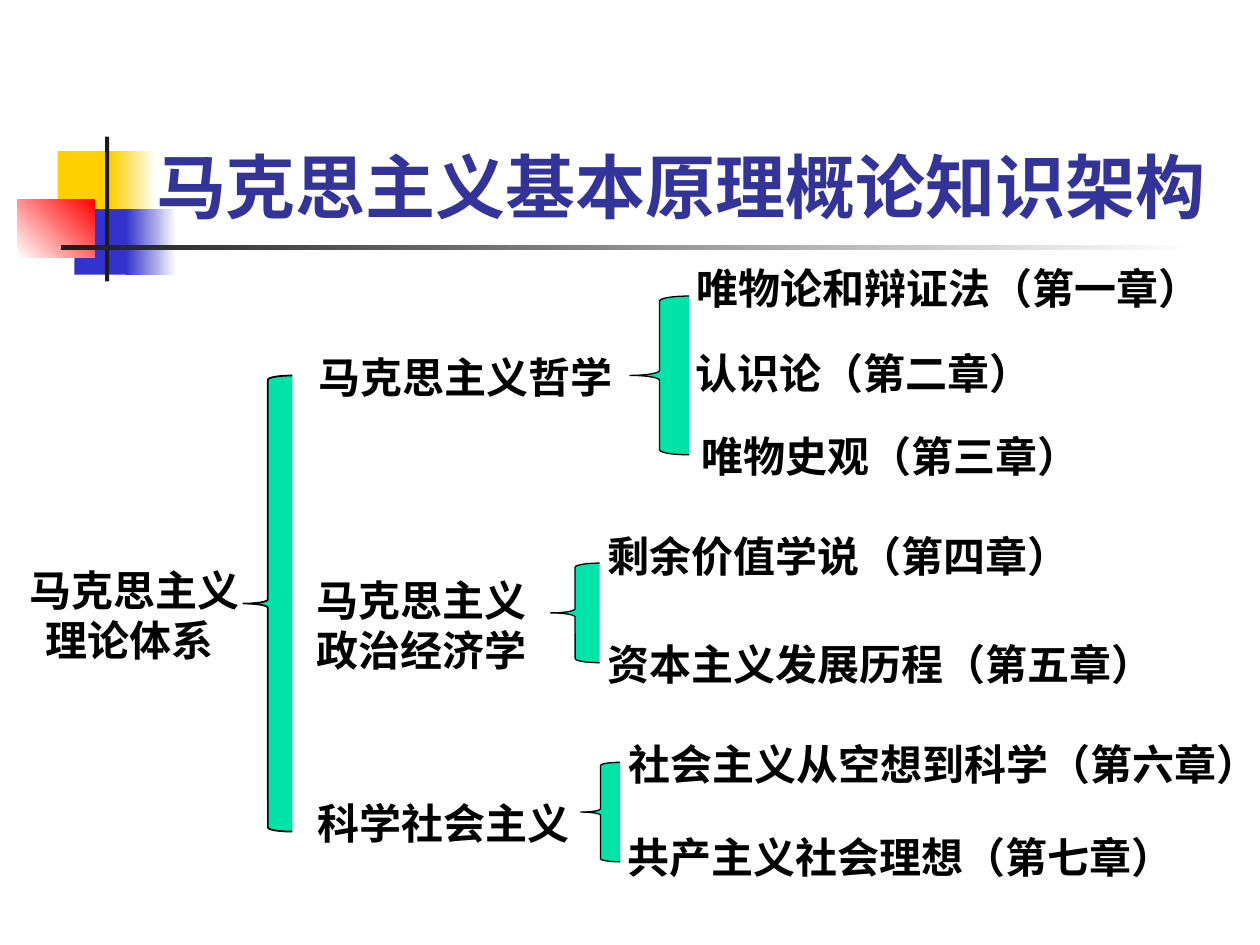
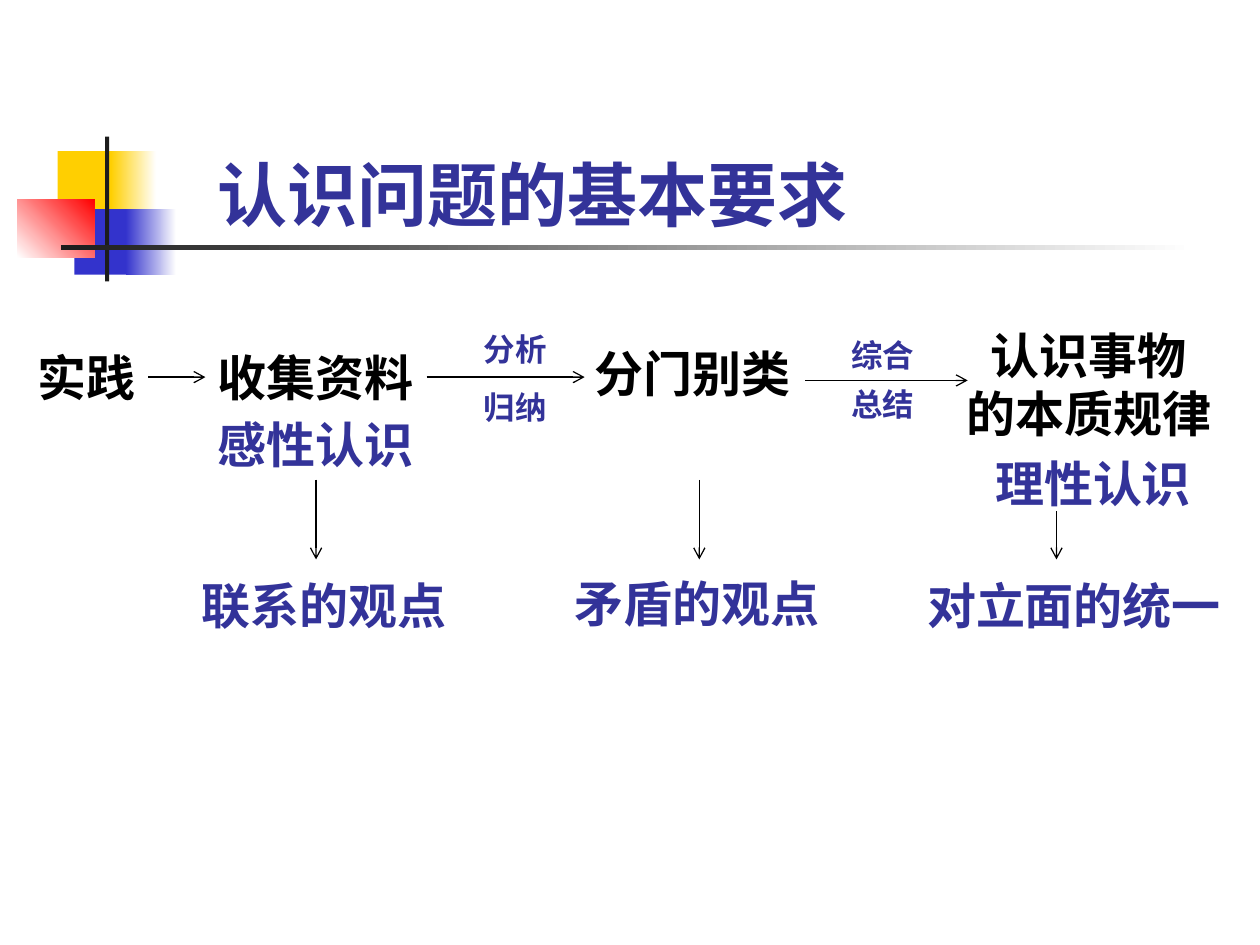
from dataclasses import dataclass
from lxml import etree
from pptx import Presentation
from pptx.dml.color import RGBColor
from pptx.enum.shapes import MSO_CONNECTOR, MSO_SHAPE
from pptx.enum.text import MSO_AUTO_SIZE, PP_ALIGN
from pptx.oxml.ns import qn
from pptx.util import Pt

RECT, BRACE = MSO_SHAPE.RECTANGLE, MSO_SHAPE.LEFT_BRACE
STRAIGHT = MSO_CONNECTOR.STRAIGHT
LEFT, CENTER = PP_ALIGN.LEFT, PP_ALIGN.CENTER
GROW = MSO_AUTO_SIZE.SHAPE_TO_FIT_TEXT
BOTTOM_SIDE, LEFT_SIDE, RIGHT_SIDE = 0 + 2, 1, 3


@dataclass(frozen=True)
class Theme:
    font: str = "Arial"
    accent: str = "333399"
    ink: str = "000000"
    bar: str = "1C1C1C"
    yellow: str = "FFCF01"
    blue: str = "3333CC"
    red: str = "FF0000"
    white: str = "FFFFFF"
    brace: str = "00E4A8"
    title: int = 40
    step: int = 28
    topic: int = 24
    note: int = 18
    line: float = 0.75
    line_height: float = 1.2
    inset_x: float = 7.2
    inset_y: float = 3.6


T = Theme()

EMBLEM = [
    ((33, 86.4, 34.6, 37.4), (T.yellow,), 0),
    ((63.4, 86.4, 25.9, 37.4), (T.yellow, T.white), 0),
    ((42.5, 119.5, 33.1, 37.4), (T.blue,), 0),
    ((72, 119.5, 28.8, 37.4), (T.blue, T.white), 0),
    ((10, 113.8, 44, 33.4), (T.white, T.red), 45),
    ((60, 78, 2.4, 82.8), (T.bar,), 0),
    ((34.6, 140.2, 648, 2.5), (T.bar, T.white), 0),
]

KNOWLEDGE_TITLE = ("马克思主义基本原理概论知识架构", 82.1, 78.5)
ROOT = ("马克思主义\n理论体系 ", 9.4, 319)
ROOT_BRACE = (139, 214.6, 28.1, 260.6)
BRANCHES = [
    (("马克思主义哲学", 175, 197.3), (360, 169.2, 33.8, 90.7), [
        ("唯物论和辩证法（第一章）", 391, 146.2),
        ("认识论（第二章）", 390.2, 195.1),
        ("唯物史观（第三章）", 393.8, 242.6)]),
    (("马克思主义\n政治经济学", 173.5, 324.7), (314.6, 321.8, 28.1, 56.9), [
        ("剩余价值学说（第四章）", 339.8, 299.5),
        ("资本主义发展历程（第五章）", 339.8, 361.4)]),
    (("科学社会主义", 174.2, 452.2), (331.9, 435.6, 22.5, 56.9), [
        ("社会主义从空想到科学（第六章）", 352, 418.3),
        ("共产主义社会理想（第七章）", 351.4, 471.6)]),
]

METHOD_TITLE = ("认识问题的基本要求", 117.4, 82.8)
STEPS = [
    ("实践", 14.4, 195.1),
    ("收集资料", 117.4, 195.1),
    ("分门别类", 332.6, 193),
    ("认识事物\n的本质规律", 545, 182.2),
]
VIEWS = [
    ("感性认识", 117.4, 233.3),
    ("理性认识", 561.6, 255.6),
    ("联系的观点", 108, 325.4),
    ("矛盾的观点", 321.1, 324),
    ("对立面的统一", 522.7, 325.4),
]
NOTES = [
    ("分析", 269.3, 185),
    ("归纳", 269.3, 218.2),
    ("综合", 479.5, 188.6),
    ("总结", 479.5, 216.7),
]
ARROWS = [
    ((85.7, 215.5), (115.9, 215.5), ("实践", RIGHT_SIDE), ("收集资料", LEFT_SIDE)),
    ((244.1, 215.5), (334.1, 215.5), ("收集资料", RIGHT_SIDE), None),
    ((460.1, 217.4), (553, 217.4), None, None),
    ((180.6, 274.1), (180.6, 319.7), ("感性认识", BOTTOM_SIDE), None),
    ((399.6, 274.3), (399.6, 319.7), None, None),
    ((603.7, 292.3), (603.7, 319.7), None, None),
]


def add_filled(s, kind, box, colors, angle=0):
    sp = s.shapes.add_shape(kind, *map(Pt, box))
    sp.shadow.inherit = False
    if len(colors) == 1:
        sp.fill.solid()
        sp.fill.fore_color.rgb = RGBColor.from_string(colors[0])
    else:
        sp.fill.gradient()
        sp.fill.gradient_angle = angle
        for stop, color in zip(sp.fill.gradient_stops, colors):
            stop.color.rgb = RGBColor.from_string(color)
    sp.line.fill.background()
    return sp


def add_brace(s, box, width=T.line):
    sp = add_filled(s, BRACE, box, (T.brace,))
    sp.line.color.rgb = RGBColor.from_string(T.ink)
    sp.line.width = Pt(width)


def add_label(s, label, size, color=T.ink, align=LEFT):
    text, x, y = label
    lines = text.split("\n")
    w = max(map(len, lines)) * size + 2 * T.inset_x
    h = len(lines) * size * T.line_height + 2 * T.inset_y
    sp = s.shapes.add_textbox(*map(Pt, (x, y, w, h)))
    tf = sp.text_frame
    for name, value in {"word_wrap": False, "auto_size": GROW}.items():
        setattr(tf, name, value)
    for i, line in enumerate(lines):
        p = tf.add_paragraph() if i else tf.paragraphs[0]
        p.alignment = align
        r = p.add_run()
        r.text = line
        for name, value in {"name": T.font, "size": Pt(size), "bold": True}.items():
            setattr(r.font, name, value)
        r.font.color.rgb = RGBColor.from_string(color)
    return sp


def add_arrow(s, start, end, source, target, boxes):
    cx = s.shapes.add_connector(STRAIGHT, *map(Pt, start + end))
    if source:
        cx.begin_connect(boxes[source[0]], source[1])
    if target:
        cx.end_connect(boxes[target[0]], target[1])
    cx.line.color.rgb = RGBColor.from_string(T.ink)
    cx.line.width = Pt(T.line)
    etree.SubElement(cx.line._get_or_add_ln(), qn("a:tailEnd"), type="arrow")
    etree.SubElement(cx._element.spPr, qn("a:effectLst"))


def add_slide(prs, title):
    s = prs.slides.add_slide(prs.slide_layouts[6])
    for box, colors, angle in EMBLEM:
        add_filled(s, RECT, box, colors, angle)
    add_label(s, title, T.title, T.accent)
    return s


def build_knowledge(prs):
    s = add_slide(prs, KNOWLEDGE_TITLE)
    add_label(s, ROOT, T.topic, align=CENTER)
    add_brace(s, ROOT_BRACE, 1)
    for branch, brace, chapters in BRANCHES:
        add_brace(s, brace)
        for label in [branch] + chapters:
            add_label(s, label, T.topic)


def build_method(prs):
    s = add_slide(prs, METHOD_TITLE)
    boxes = {}
    for labels, size, color in (
            (STEPS, T.step, T.ink), (VIEWS, T.step, T.accent), (NOTES, T.note, T.accent)):
        for label in labels:
            align = CENTER if "\n" in label[0] else LEFT
            boxes[label[0]] = add_label(s, label, size, color, align)
    for arrow in ARROWS:
        add_arrow(s, *arrow, boxes)


def main():
    prs = Presentation()
    prs.slide_width, prs.slide_height = Pt(720), Pt(540)
    build_knowledge(prs)
    build_method(prs)
    prs.save("out.pptx")


if __name__ == "__main__":
    main()
